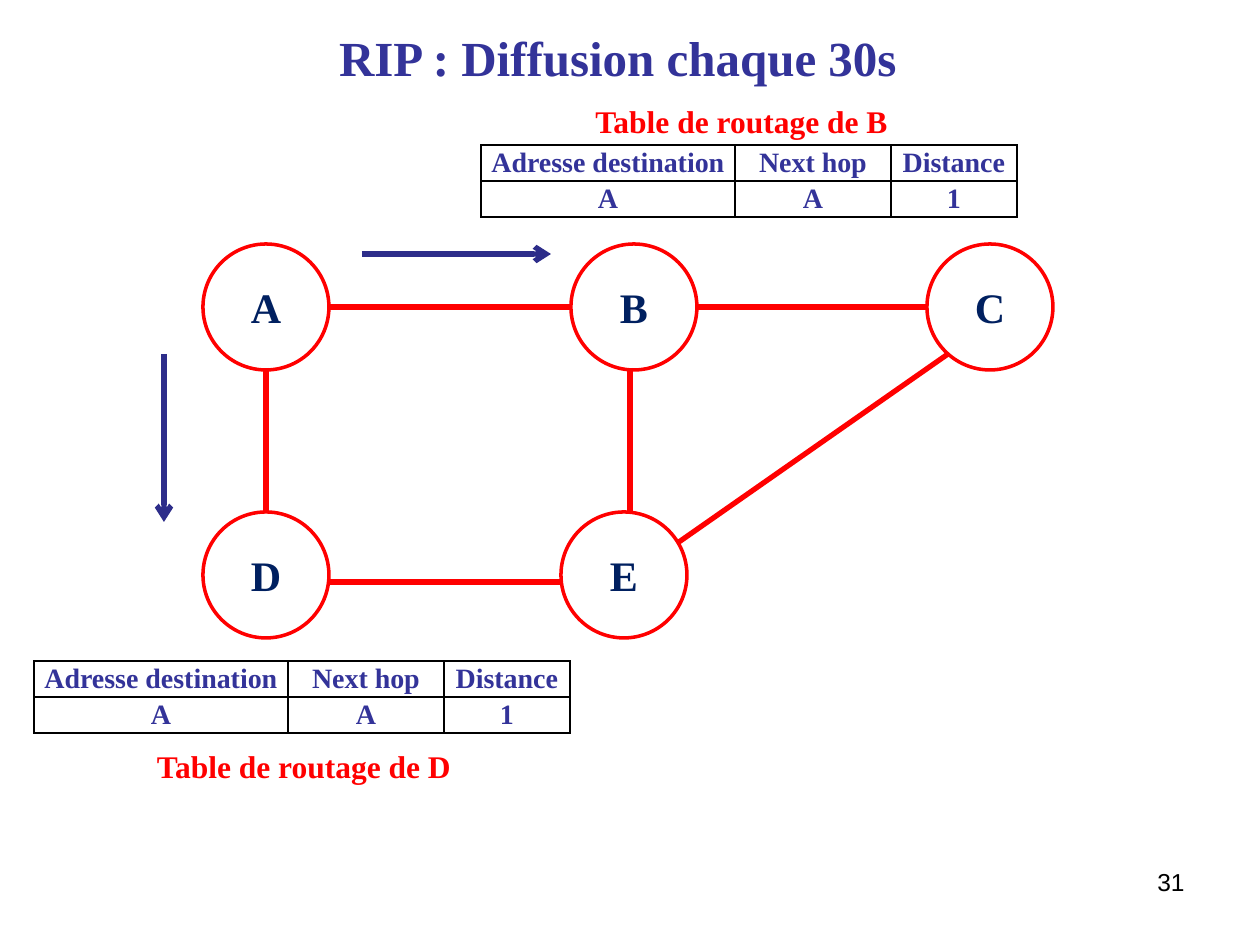
from lxml import etree
from pptx import Presentation
from pptx.dml.color import RGBColor
from pptx.enum import shapes, text
from pptx.oxml import parse_xml
from pptx.oxml import ns
from pptx.util import Emu, Pt

PX = 914400 // 126
COLORS = {"title": "333399", "node": "002060", "link": "FF0000", "flow": "2D2D8A",
          "border": "000000", "paper": "FFFFFF"}
SERIF = "Times New Roman"


def write(frame, words, size, color, align=text.PP_ALIGN.CENTER, font=SERIF, bold=True):
    frame.text = words
    para = frame.paragraphs[0]
    para.alignment = align
    span = para.runs[0]
    span.font.size = Pt(size)
    span.font.name = font
    span.font.bold = bold
    span.font.color.rgb = RGBColor.from_string(COLORS[color])
    return para


def connect(start_x, start_y, end_x, end_y, color):
    line = page.shapes.add_connector(
        shapes.MSO_CONNECTOR.STRAIGHT,
        *(Emu(n * PX) for n in (start_x, start_y, end_x, end_y)))
    line.line.color.rgb = RGBColor.from_string(COLORS[color])
    line.line.width = Pt(3)
    etree.SubElement(line._element.spPr, ns.qn("a:effectLst"))
    return line


deck = Presentation()
deck.slide_width = Emu(1260 * PX)
deck.slide_height = Emu(945 * PX)
page = deck.slides.add_slide(deck.slide_layouts[6])

title = page.shapes.add_textbox(*(Emu(n * PX) for n in (63, 18, 1134, 77)))
title.text_frame.word_wrap = True
title.text_frame.vertical_anchor = text.MSO_ANCHOR.MIDDLE
title.text_frame.margin_right = Emu(37 * PX)
write(title.text_frame, "RIP : Diffusion chaque 30s", 28, "title")

number = page.shapes.add_textbox(*(Emu(n * PX) for n in (903, 861, 294, 66)))
number.text_frame.word_wrap = True
write(number.text_frame, "31", 14, "border", text.PP_ALIGN.RIGHT, "Arial", False)

nodes = {"A": (203, 244), "E": (561, 512), "D": (203, 512), "C": (927, 244), "B": (571, 244)}
for name, (left, top) in nodes.items():
    node = page.shapes.add_shape(
        shapes.MSO_SHAPE.OVAL, *(Emu(n * PX) for n in (left, top, 126, 126)))
    node.shadow.inherit = False
    node.fill.solid()
    node.fill.fore_color.rgb = RGBColor.from_string(COLORS["paper"])
    node.line.color.rgb = RGBColor.from_string(COLORS["link"])
    node.line.width = Pt(2)
    node.text_frame.vertical_anchor = text.MSO_ANCHOR.MIDDLE
    write(node.text_frame, name, 24, "node").space_before = Pt(4.8)

links = [(329, 307, 571, 307), (697, 307, 927, 307), (266, 368, 266, 512),
         (630, 368, 630, 512), (328, 582, 561, 582), (948, 354, 679, 542)]
for ends in links:
    connect(*ends, "link")

for ends in [(362, 254, 551, 254), (164, 354, 164, 522)]:
    flow = connect(*ends, "flow")
    etree.SubElement(flow.line._get_or_add_ln(), ns.qn("a:tailEnd"), type="arrow")

routes = [("Adresse destination", "Next hop", "Distance"), ("A", "A", "1")]
for left, top in [(481, 145), (34, 661)]:
    table = page.shapes.add_table(
        2, 3, *(Emu(n * PX) for n in (left, top, 536, 72))).table
    table.first_row = False
    table.horz_banding = False
    for column, width in zip(table.columns, (254, 156, 126)):
        column.width = Emu(width * PX)
    for row, values in zip(table.rows, routes):
        row.height = Emu(36 * PX)
        for cell, value in zip(row.cells, values):
            cell.margin_left = cell.margin_right = Emu(9 * PX)
            cell.margin_top = cell.margin_bottom = 0
            write(cell.text_frame, value, 16, "title").line_spacing = 1.07
            cell.fill.background()
            for index, side in enumerate(("lnL", "lnR", "lnT", "lnB")):
                border = parse_xml(
                    f'<a:{side} {ns.nsdecls("a")} w="12700"><a:solidFill>'
                    f'<a:srgbClr val="{COLORS["border"]}"/></a:solidFill></a:{side}>')
                cell._tc.get_or_add_tcPr().insert(index, border)

for name, left, top, width in [("B", 580, 96, 323), ("D", 141, 741, 326)]:
    caption = page.shapes.add_textbox(*(Emu(n * PX) for n in (left, top, width, 50)))
    caption.text_frame.word_wrap = False
    caption.text_frame.auto_size = text.MSO_AUTO_SIZE.SHAPE_TO_FIT_TEXT
    write(caption.text_frame, f"Table de routage de {name}", 18, "link").space_before = Pt(3.6)

deck.save("out.pptx")
